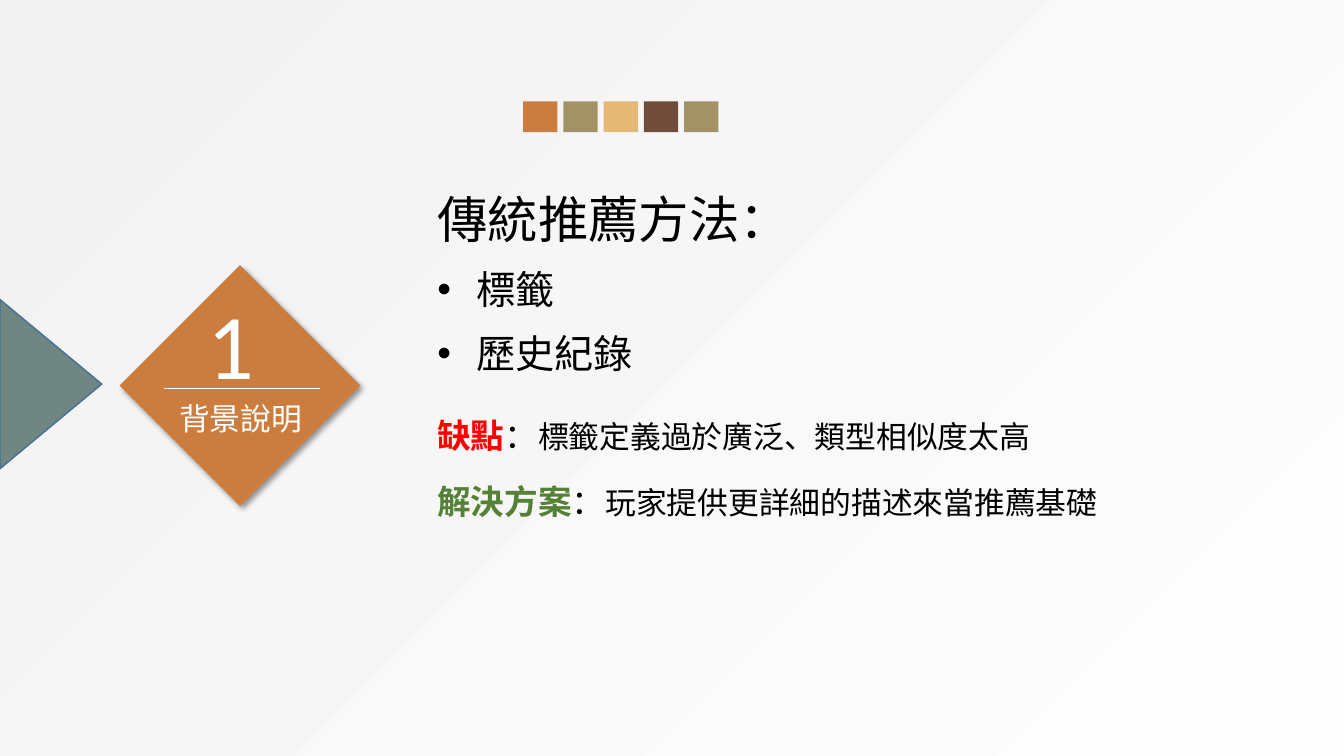
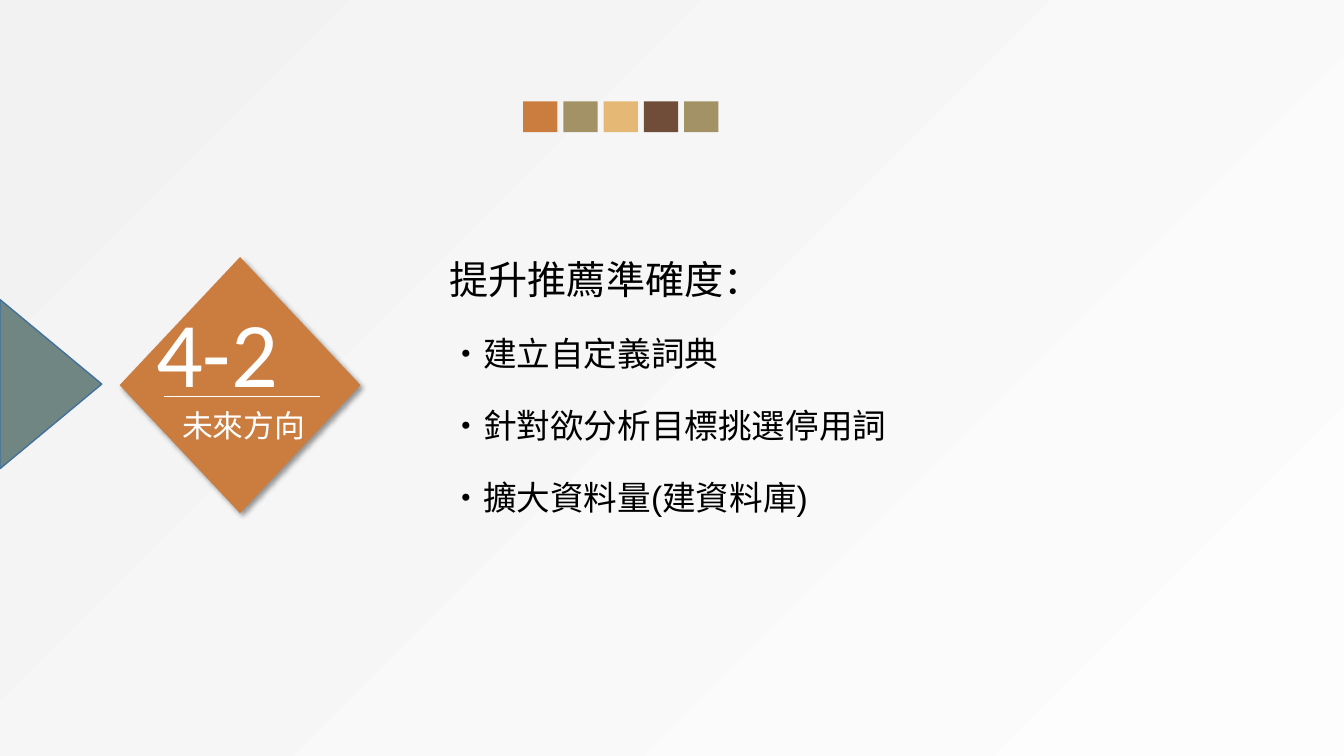
import pptx
import pptx.dml.color
import pptx.enum.shapes
import pptx.enum.text
import pptx.oxml
import pptx.oxml.ns
import pptx.util

Pt = pptx.util.Pt
SHAPE = pptx.enum.shapes.MSO_SHAPE
CJK = "Noto Sans CJK SC"
NAMESPACE = pptx.oxml.ns.nsdecls("a")


def color(value):
    return pptx.dml.color.RGBColor.from_string(value)


def element(tag, attributes="", inner=""):
    return pptx.oxml.parse_xml(f"<a:{tag} {NAMESPACE} {attributes}>{inner}</a:{tag}>")


def assign(target, values):
    for name, value in values.items():
        setattr(target, name, value)


class Report:
    """Holds the style of the deck and the slide being filled."""

    ORANGE, OLIVE, SAND, BROWN = "CB7D40", "A29266", "E6B875", "6F4D39"
    SLATE, SLATE_EDGE = "6F8683", "42719B"
    BLACK, WHITE, RED, GREEN = "000000", "FFFFFF", "FF0000", "548135"
    LIGHT, SHADE = "FDFDFD", "F2F2F2"
    MIDDLE = 171.5

    def __init__(self):
        self.deck = pptx.Presentation()
        assign(self.deck, {"slide_width": Pt(960), "slide_height": Pt(540)})
        self.page = None
        self.set_background()

    def set_background(self):
        """Give the master a round gradient that spreads from the lower right."""
        master = self.deck.slide_master
        master.background.fill.solid()
        stops = "".join(
            f'<a:gs pos="{place}"><a:srgbClr val="{tone}"/></a:gs>'
            for place, tone in ((0, self.LIGHT), (100000, self.SHADE))
        )
        gradient = element(
            "gradFill",
            'rotWithShape="1"',
            f'<a:gsLst>{stops}</a:gsLst><a:path path="circle">'
            '<a:fillToRect l="100000" t="100000"/></a:path>',
        )
        master.element.xpath(".//p:bgPr")[0][0] = gradient

    def new_page(self):
        self.page = self.deck.slides.add_slide(self.deck.slide_layouts[6])
        self.arrow()
        self.swatches()

    def paint(self, shape, fill, edge=None):
        shape.shadow.inherit = False
        shape.fill.solid()
        shape.fill.fore_color.rgb = color(fill)
        if edge:
            shape.line.color.rgb = color(edge)
            shape.line.width = Pt(1)
        else:
            shape.line.fill.background()

    def arrow(self):
        """Triangle that enters from the left edge."""
        builder = self.page.shapes.build_freeform(0, Pt(214))
        builder.add_line_segments([(Pt(72.7), Pt(274.4)), (0, Pt(334.8))])
        self.paint(builder.convert_to_shape(), self.SLATE, self.SLATE_EDGE)

    def swatches(self):
        row = self.page.shapes.add_group_shape()
        tones = (self.ORANGE, self.OLIVE, self.SAND, self.BROWN, self.OLIVE)
        for index, tone in enumerate(tones):
            swatch = row.shapes.add_shape(
                SHAPE.RECTANGLE, Pt(373.7 + 28.75 * index), Pt(72.5), Pt(24.5), Pt(22)
            )
            self.paint(swatch, tone)

    def diamond(self, top, height):
        diamond = self.page.shapes.add_shape(
            SHAPE.DIAMOND, Pt(self.MIDDLE - 86), Pt(top), Pt(172), Pt(height)
        )
        self.paint(diamond, self.ORANGE)
        shadow = element(
            "outerShdw",
            f'blurRad="{Pt(4)}" dist="{Pt(3)}" dir="2700000" algn="tl" rotWithShape="0"',
            f'<a:srgbClr val="{self.BLACK}"><a:alpha val="40000"/></a:srgbClr>',
        )
        diamond.element.xpath(".//a:effectLst")[0].append(shadow)

    def rule(self, top):
        rule = self.page.shapes.add_connector(
            pptx.enum.shapes.MSO_CONNECTOR.STRAIGHT, Pt(117.4), Pt(top), Pt(228.4), Pt(top)
        )
        rule.line.color.rgb = color(self.WHITE)
        rule.line.width = Pt(0.75)
        rule.element.spPr.append(element("effectLst"))

    def text(self, at, paras):
        """Each para is (spans, layout); each span is (wording, size, format)."""
        box = self.page.shapes.add_textbox(*(Pt(length) for length in at))
        frame = box.text_frame
        assign(frame, {
            "word_wrap": True,
            "auto_size": pptx.enum.text.MSO_AUTO_SIZE.SHAPE_TO_FIT_TEXT,
        })
        for index, (spans, layout) in enumerate(paras):
            para = frame.add_paragraph() if index else frame.paragraphs[0]
            assign(para, {key: value for key, value in layout.items() if key != "bullet"})
            if "bullet" in layout:
                self.bullet(para, layout["bullet"])
            for wording, size, style in spans:
                self.span(para, wording, size, **style)

    def bullet(self, para, sign):
        properties = para._p.get_or_add_pPr()
        properties.set("marL", str(Pt(28)))
        properties.set("indent", str(Pt(-28)))
        properties.append(element("buFont", 'typeface="Arial"'))
        properties.append(element("buChar", f'char="{sign}"'))

    def span(self, para, wording, size, tone=BLACK, name=CJK, bold=False):
        span = para.add_run()
        span.text = wording
        assign(span.font, {"size": Pt(size), "name": name, "bold": bold})
        span.font.color.rgb = color(tone)
        span._r.get_or_add_rPr().append(element("ea", f'typeface="{CJK}"'))

    def badge(self, top, height, number, number_at, label, label_left, rule_top):
        """Section number over the section name, on a diamond."""
        self.diamond(top, height)
        self.text(number_at, [([(number, 66, {"tone": self.WHITE, "name": "Calibri"})], {})])
        self.rule(rule_top)
        self.text((label_left, rule_top + 4.3, 103.7, 34),
                  [([(label, 22, {"tone": self.WHITE})], {})])


def background_page(report):
    report.new_page()
    report.badge(189.4, 172, "1", (141, 201.6, 44, 65), "背景說明", 121, 277.7)
    item = {"space_before": Pt(12), "bullet": "•"}
    report.text((305.3, 131, 420, 143), [
        ([("傳統推薦方法：", 36, {})], {}),
        ([("標籤", 28, {})], item),
        ([("歷史紀錄", 28, {})], item),
    ])
    remarks = (
        ("缺點", report.RED, "標籤定義過於廣泛、類型相似度太高", 0),
        ("解決方案", report.GREEN, "玩家提供更詳細的描述來當推薦基礎", 18),
    )
    report.text((305.3, 293, 538, 83.5), [
        ([(head, 24, {"tone": tone, "bold": True}), ("：", 24, {}), (body, 22, {})],
         {"space_before": Pt(gap)})
        for head, tone, body, gap in remarks
    ])


def future_page(report):
    report.new_page()
    report.badge(183.6, 183, "4-2", (104.4, 207.4, 145.4, 87), "未來方向", 123, 283)
    plans = ("•建立自定義詞典", "•針對欲分析目標挑選停用詞", "•擴大資料量(建資料庫)")
    layout = {"space_before": Pt(18), "line_spacing": 1.15}
    report.text((314, 178.6, 342, 231), [([("提升推薦準確度：", 28, {})], {})] + [
        ([(plan, 24, {"name": "Arial"})], layout) for plan in plans
    ])


def main():
    report = Report()
    background_page(report)
    future_page(report)
    report.deck.save("out.pptx")


if __name__ == "__main__":
    main()
